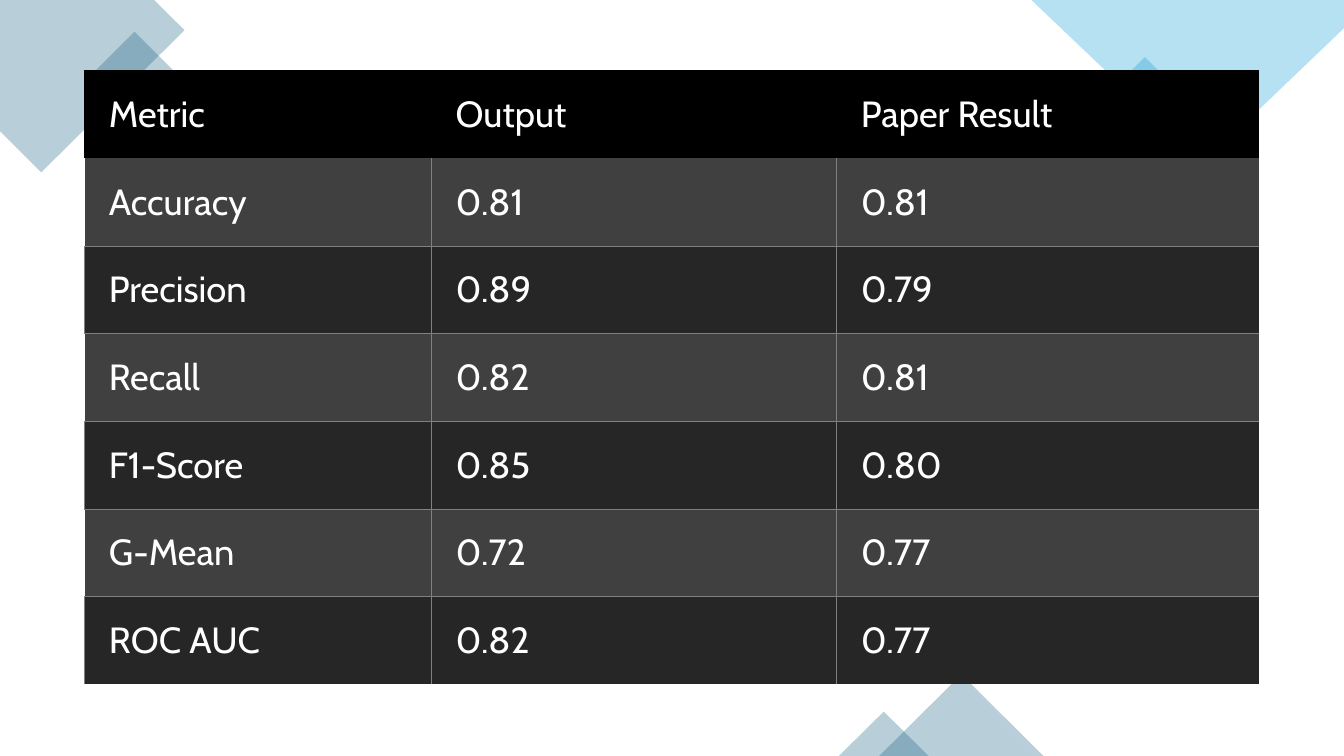
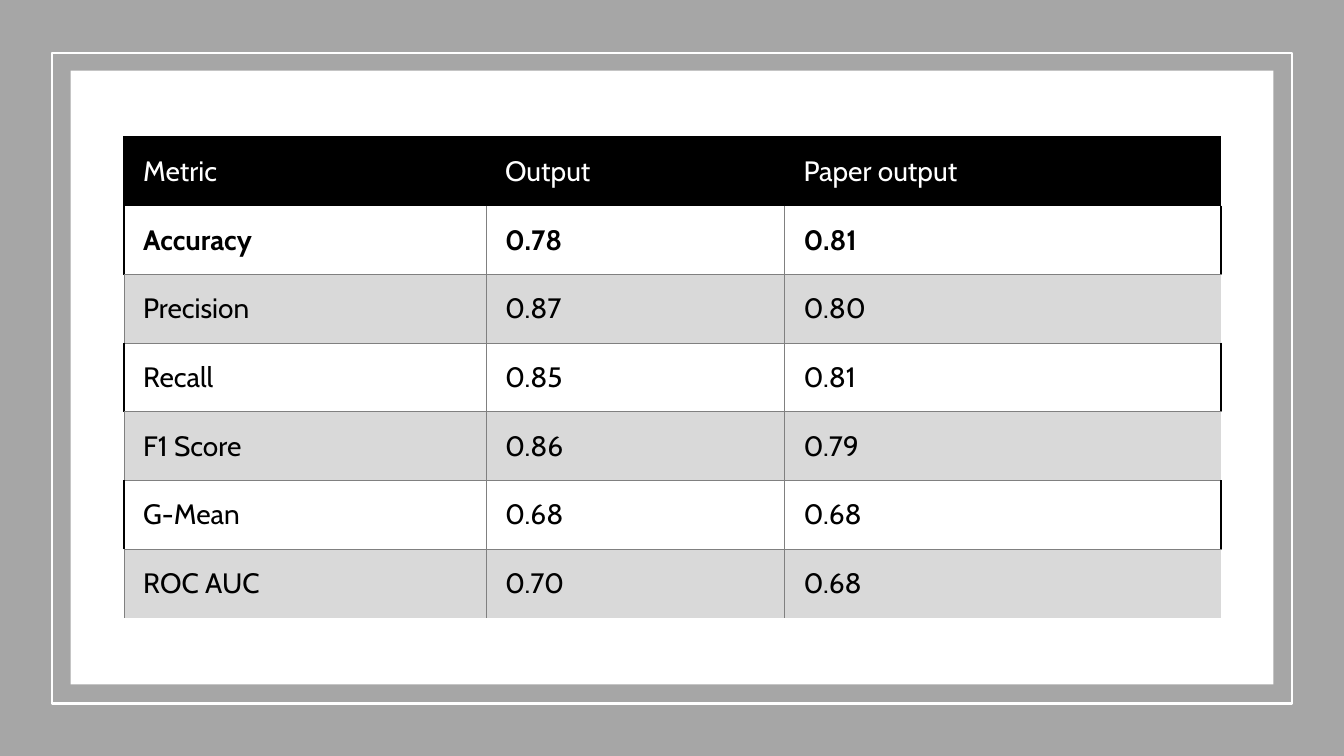
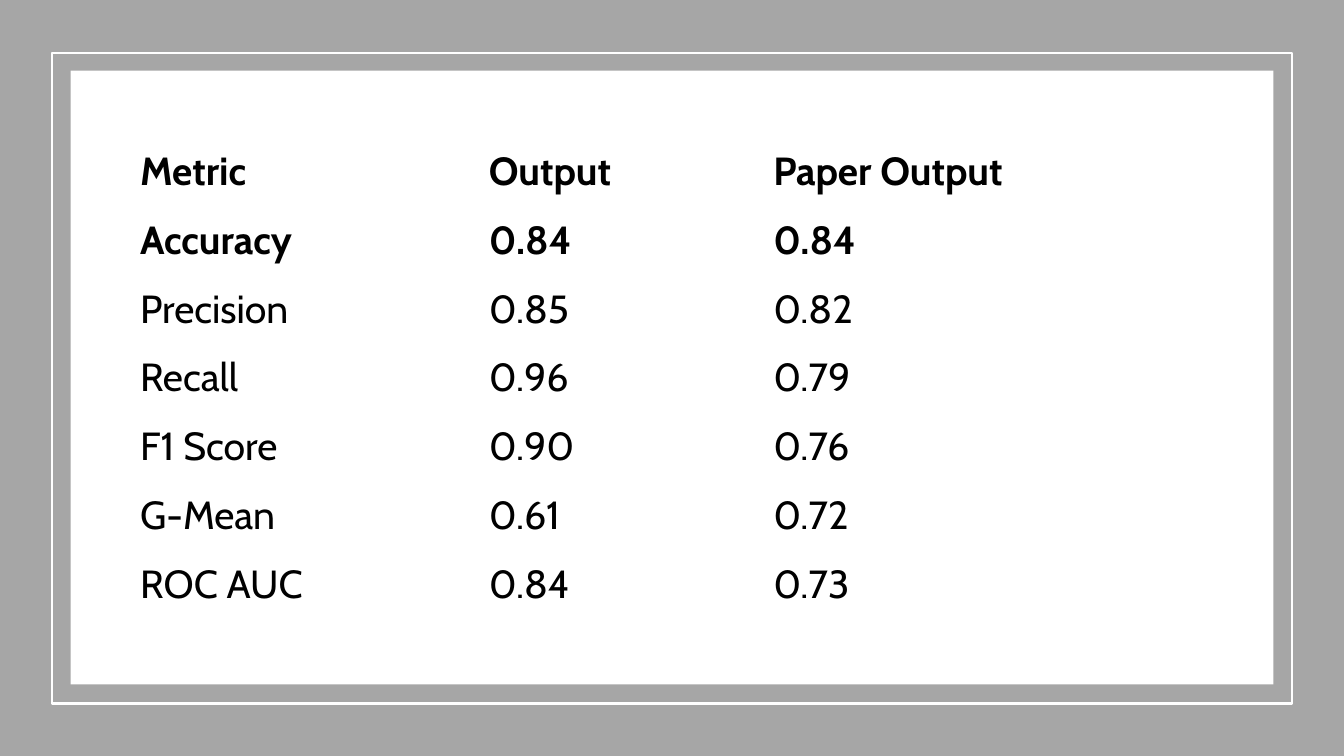
from dataclasses import dataclass

from lxml import etree
from pptx import Presentation
from pptx.dml.color import RGBColor
from pptx.enum.shapes import MSO_SHAPE
from pptx.enum.text import MSO_ANCHOR
from pptx.oxml.ns import qn
from pptx.util import Inches, Pt

RECTANGLE = MSO_SHAPE.RECTANGLE
TRIANGLE = MSO_SHAPE.ISOSCELES_TRIANGLE
MIDDLE = MSO_ANCHOR.MIDDLE

COLORS = {
    "white": "FFFFFF",
    "black": "000000",
    "teal": "156082",
    "sky": "0F9ED5",
    "charcoal": "404040",
    "coal": "262626",
    "rule": "808080",
    "band": "D9D9D9",
    "surround": "A6A6A6",
}
FONT = "Cabin"
PLAIN_TABLE_STYLE = "{2D5ABB26-0587-4C30-8999-92F81FD0307C}"
SLIDE_WIDTH, SLIDE_HEIGHT = 13.33, 7.5
DECOR_OPACITY = 30
THIN, THICK = 0.5, 1.5


@dataclass(frozen=True)
class Decor:
    kind: int
    left: float
    top: float
    width: float
    height: float
    color: str
    rotation: float = 0


@dataclass(frozen=True)
class Outline:
    points: tuple
    color: str


@dataclass(frozen=True)
class TableStyle:
    size: float
    margins: tuple  # left, top, right, bottom
    header_text: str = "black"
    body_text: str = "black"
    header_fill: str | None = None
    odd_fill: str | None = None
    even_fill: str | None = None
    bold_rows: tuple = ()
    ruled: bool = True
    outer_edge: bool = False


@dataclass(frozen=True)
class MetricTable:
    left: float
    top: float
    height: float
    columns: tuple
    rows: tuple
    style: TableStyle


CORNER_OUTLINES = (
    Outline(((0, 0), (1.53, 0), (1.83, 0.3), (0.41, 1.71), (0, 1.3)), "teal"),
    Outline(((10.23, 0), (13.33, 0), (13.33, 0.28), (11.93, 1.62)), "sky"),
)
CORNER_DECOR = (
    Decor(RECTANGLE, 0.98, 0.46, 0.71, 0.71, "teal", 315),
    Decor(RECTANGLE, 10.98, 0.72, 0.75, 0.75, "sky", 315),
    Decor(TRIANGLE, 8.72, 6.69, 1.63, 0.81, "teal"),
    Decor(TRIANGLE, 8.32, 7.06, 0.89, 0.44, "teal"),
)

DARK_TABLE = MetricTable(
    0.84, 0.7, 6.09, (3.44, 4.02, 4.19),
    (
        ("Metric", "Output", "Paper Result"),
        ("Accuracy", "0.81", "0.81"),
        ("Precision", "0.89", "0.79"),
        ("Recall", "0.82", "0.81"),
        ("F1-Score", "0.85", "0.80"),
        ("G-Mean", "0.72", "0.77"),
        ("ROC AUC", "0.82", "0.77"),
    ),
    TableStyle(26, (0.24, 0.18, 0.18, 0.18), "white", "white",
               "black", "charcoal", "coal"),
)
BANDED_TABLE = MetricTable(
    1.23, 1.36, 4.77, (3.59, 2.96, 4.33),
    (
        ("Metric", "Output", "Paper output"),
        ("Accuracy", "0.78", "0.81"),
        ("Precision", "0.87", "0.80"),
        ("Recall", "0.85", "0.81"),
        ("F1 Score", "0.86", "0.79"),
        ("G-Mean", "0.68", "0.68"),
        ("ROC AUC", "0.70", "0.68"),
    ),
    TableStyle(20, (0.19, 0.14, 0.14, 0.14), header_text="white",
               header_fill="black", even_fill="band", bold_rows=(1,),
               outer_edge=True),
)
OPEN_TABLE = MetricTable(
    1.23, 1.36, 4.78, (3.46, 2.82, 4.6),
    (
        ("Metric", "Output", "Paper Output"),
        ("Accuracy", "0.84", "0.84"),
        ("Precision", "0.85", "0.82"),
        ("Recall", "0.96", "0.79"),
        ("F1 Score", "0.90", "0.76"),
        ("G-Mean", "0.61", "0.72"),
        ("ROC AUC", "0.84", "0.73"),
    ),
    TableStyle(28, (0.16, 0.08, 0.16, 0.08), bold_rows=(0, 1), ruled=False),
)


def rgb(name: str) -> RGBColor:
    return RGBColor.from_string(COLORS[name])


def paint(shape, fill: str | None, line: str | None = None,
          opacity: int = 100) -> None:
    shape.shadow.inherit = False
    if fill:
        shape.fill.solid()
        shape.fill.fore_color.rgb = rgb(fill)
    else:
        shape.fill.background()
    if line:
        shape.line.color.rgb = rgb(line)
        shape.line.width = Pt(THICK)
    else:
        shape.line.fill.background()
    if opacity < 100:
        for color in shape.element.spPr.findall(
                f"{qn('a:solidFill')}/{qn('a:srgbClr')}"):
            etree.SubElement(color, qn("a:alpha"), val=str(opacity * 1000))


def add_box(slide, left: float, top: float, width: float, height: float,
            kind: int = RECTANGLE):
    return slide.shapes.add_shape(
        kind, Inches(left), Inches(top), Inches(width), Inches(height))


def add_corner_decor(slide) -> None:
    for outline in CORNER_OUTLINES:
        start, *rest = [(Inches(x), Inches(y)) for x, y in outline.points]
        builder = slide.shapes.build_freeform(*start)
        builder.add_line_segments(rest, close=True)
        paint(builder.convert_to_shape(), outline.color, opacity=DECOR_OPACITY)
    for decor in CORNER_DECOR:
        shape = add_box(slide, decor.left, decor.top, decor.width,
                        decor.height, decor.kind)
        shape.rotation = decor.rotation
        paint(shape, decor.color, opacity=DECOR_OPACITY)


def add_frame(slide) -> None:
    paint(add_box(slide, 0, 0, SLIDE_WIDTH, SLIDE_HEIGHT), "surround")
    paint(add_box(slide, 0.52, 0.53, 12.29, 6.45), None, line="white")
    paint(add_box(slide, 0.7, 0.7, 11.93, 6.09), "white")


def write_text(frame, text: str, *, size: float, color: str,
               bold: bool = False) -> None:
    span = frame.paragraphs[0].add_run()
    span.text = text
    span.font.name = FONT
    span.font.size = Pt(size)
    span.font.bold = bold
    span.font.color.rgb = rgb(color)


def cell_borders(row: int, column: int, last: int, style: TableStyle) -> dict:
    """Map each ruled side of a cell to its colour and width."""
    if not style.ruled:
        return {}
    rule, edge = ("rule", THIN), ("black", THICK)
    if row == 0:
        return {"T": edge, "L": edge} if column == 0 else {"T": edge}
    outer = edge if style.outer_edge else None
    if row % 2:
        sides = {"L": rule if column > 0 else outer,
                 "R": rule if column < last else outer,
                 "B": rule}
    else:
        sides = {"L": rule, "T": rule, "R": rule if column < last else None}
    return {side: border for side, border in sides.items() if border}


def draw_borders(cell, borders: dict) -> None:
    properties = cell._tc.get_or_add_tcPr()
    for side in "LRTB":
        if side in borders:
            color, width = borders[side]
            line = etree.SubElement(
                properties, qn(f"a:ln{side}"), w=str(Pt(width)))
            fill = etree.SubElement(line, qn("a:solidFill"))
            etree.SubElement(fill, qn("a:srgbClr"), val=COLORS[color])


def format_cell(cell, fill: str | None, margins: tuple) -> None:
    cell.vertical_anchor = MIDDLE
    (cell.margin_left, cell.margin_top,
     cell.margin_right, cell.margin_bottom) = map(Inches, margins)
    if fill:
        cell.fill.solid()
        cell.fill.fore_color.rgb = rgb(fill)
    else:
        cell.fill.background()


def add_metric_table(slide, content: MetricTable) -> None:
    style = content.style
    table = slide.shapes.add_table(
        len(content.rows), len(content.columns),
        Inches(content.left), Inches(content.top),
        Inches(sum(content.columns)), Inches(content.height)).table
    table.first_row = table.horz_banding = False
    table._tbl.tblPr.find(qn("a:tableStyleId")).text = PLAIN_TABLE_STYLE
    for column, width in zip(table.columns, content.columns):
        column.width = Inches(width)
    last = len(content.columns) - 1
    for row, texts in enumerate(content.rows):
        if row == 0:
            fill, color = style.header_fill, style.header_text
        else:
            fill = style.odd_fill if row % 2 else style.even_fill
            color = style.body_text
        for column, text in enumerate(texts):
            cell = table.cell(row, column)
            draw_borders(cell, cell_borders(row, column, last, style))
            format_cell(cell, fill, style.margins)
            write_text(cell.text_frame, text, size=style.size, color=color,
                       bold=row in style.bold_rows)


def main() -> None:
    deck = Presentation()
    deck.slide_width = Inches(SLIDE_WIDTH)
    deck.slide_height = Inches(SLIDE_HEIGHT)
    blank = deck.slide_layouts[6]
    for add_backdrop, content in (
        (add_corner_decor, DARK_TABLE),
        (add_frame, BANDED_TABLE),
        (add_frame, OPEN_TABLE),
    ):
        slide = deck.slides.add_slide(blank)
        add_backdrop(slide)
        add_metric_table(slide, content)
    deck.save("out.pptx")


if __name__ == "__main__":
    main()
